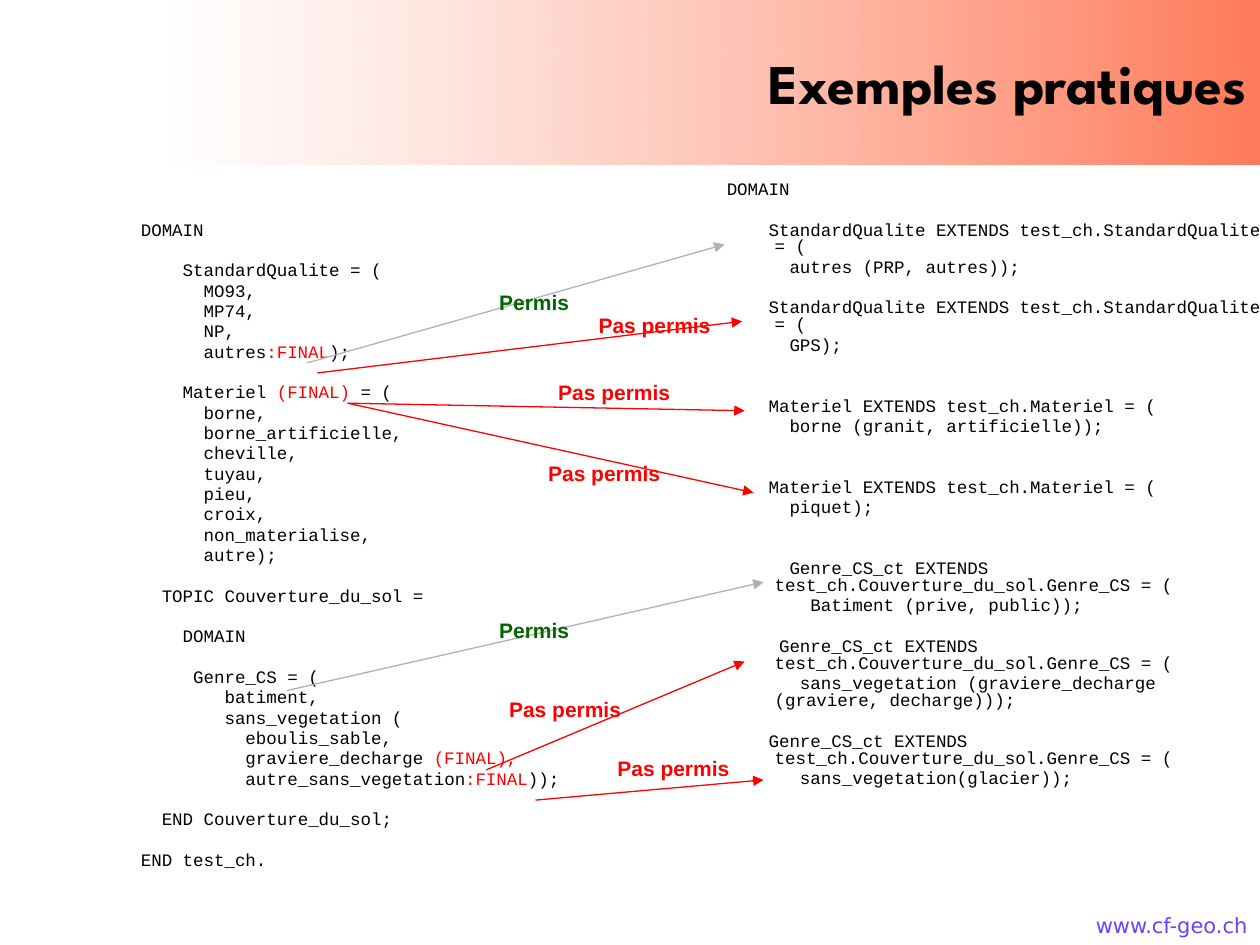
from lxml.etree import SubElement
from pptx import Presentation
from pptx.dml.color import RGBColor
from pptx.enum.shapes import MSO_CONNECTOR as Connector, MSO_SHAPE as Shape
from pptx.enum.text import MSO_ANCHOR as Anchor, MSO_AUTO_SIZE as AutoSize, PP_ALIGN as Align
from pptx.oxml.ns import qn
from pptx.util import Inches, Pt

COLORS = {
    "black": "000000", "white": "FFFFFF", "orange": "FF3300", "red": "FF0000",
    "green": "006600", "gray": "B2B2B2", "violet": "6A42FE",
}
TITLE = "Exemples pratiques"
WEBSITE = "www.cf-geo.ch"

# Each block: blank lines above it, then its lines; text between bars is red.
BASE_MODEL = [
    (5, ["DOMAIN"]),
    (1, ["    StandardQualite = (",
         "      MO93,",
         "      MP74,",
         "      NP,",
         "      autres|:FINAL|);"]),
    (1, ["    Materiel |(FINAL) |= (",
         "      borne,",
         "      borne_artificielle,",
         "      cheville,",
         "      tuyau,",
         "      pieu,",
         "      croix,",
         "      non_materialise,",
         "      autre);"]),
    (1, ["  TOPIC Couverture_du_sol ="]),
    (1, ["    DOMAIN"]),
    (1, ["     Genre_CS = (",
         "        batiment,",
         "        sans_vegetation (",
         "          eboulis_sable,",
         "          graviere_decharge |(FINAL),",
         "          autre_sans_vegetation|:FINAL|));"]),
    (1, ["  END Couverture_du_sol;"]),
    (1, ["END test_ch."]),
]
EXTENDED_MODEL = [
    (3, ["DOMAIN"]),
    (1, ["    StandardQualite EXTENDS test_ch.StandardQualite = (",
         "      autres (PRP, autres));"]),
    (1, ["    StandardQualite EXTENDS test_ch.StandardQualite = (",
         "      GPS);"]),
    (2, ["    Materiel EXTENDS test_ch.Materiel = (",
         "      borne (granit, artificielle));"]),
    (2, ["    Materiel EXTENDS test_ch.Materiel = (",
         "      piquet);"]),
    (2, ["      Genre_CS_ct EXTENDS test_ch.Couverture_du_sol.Genre_CS = (",
         "        Batiment (prive, public));"]),
    (1, ["     Genre_CS_ct EXTENDS test_ch.Couverture_du_sol.Genre_CS = (",
         "       sans_vegetation (graviere_decharge (graviere, decharge)));"]),
    (1, ["    Genre_CS_ct EXTENDS test_ch.Couverture_du_sol.Genre_CS = (",
         "       sans_vegetation(glacier));"]),
]
LISTINGS = [
    (BASE_MODEL, (1.02, 0.91, 4.44, 5.51)),
    (EXTENDED_MODEL, (5.67, 0.91, 4.44, 4.36)),
]
VERDICTS = {
    True: ("Permis", "green", "gray", 0.76),
    False: ("Pas permis", "red", "red", 1.09),
}
EXTENSIONS = [
    (True, (2.44, 2.88), (5.75, 1.94), (3.86, 2.25)),
    (False, (2.52, 2.96), (5.89, 2.55), (4.65, 2.43)),
    (False, (2.76, 3.2), (5.91, 3.26), (4.33, 2.96)),
    (False, (2.76, 3.2), (5.98, 3.91), (4.25, 3.61)),
    (True, (2.28, 5.48), (6.06, 4.62), (3.86, 4.85)),
    (False, (3.86, 6.11), (5.91, 5.25), (3.94, 5.48)),
    (False, (4.25, 6.35), (6.06, 6.19), (4.8, 5.95)),
]
LINE_PITCH = 11.63
LINE_GAP = 2


def color(name):
    return RGBColor.from_string(COLORS[name])


def style(font, name, size, color_name, bold=False):
    font.name, font.size, font.bold = name, Pt(size), bold
    font.color.rgb = color(color_name)


def add_text(slide, box, text, align, font, wrap=True):
    shape = slide.shapes.add_textbox(*map(Inches, box))
    frame = shape.text_frame
    frame.word_wrap = wrap
    if not wrap:
        frame.auto_size = AutoSize.SHAPE_TO_FIT_TEXT
    paragraph = frame.paragraphs[0]
    paragraph.text, paragraph.alignment = text, align
    style(paragraph.font, *font)


def add_title(slide):
    shape = slide.shapes.add_shape(Shape.RECTANGLE, *map(Inches, (1.31, 0, 8.69, 1.31)))
    shape.shadow.inherit = False
    shape.line.fill.background()
    shape.fill.gradient()
    shape.fill.gradient_angle = 0
    fades = [(0, "white", 46), (1, "orange", 65)]
    for stop, (position, name, opacity) in zip(shape.fill.gradient_stops, fades):
        stop.position, stop.color.rgb = position, color(name)
    tags = shape.fill._xPr.iter(qn("a:srgbClr"))
    for tag, (_, _, opacity) in zip(tags, fades):
        SubElement(tag, qn("a:alpha"), val=str(opacity * 1000))
    frame = shape.text_frame
    frame.vertical_anchor = Anchor.MIDDLE
    paragraph = frame.paragraphs[0]
    paragraph.text, paragraph.alignment = TITLE, Align.RIGHT
    style(paragraph.font, "League Spartan", 32, "black", True)


def add_listing(slide, blocks, box):
    frame = slide.shapes.add_textbox(*map(Inches, box)).text_frame
    frame.word_wrap = True
    frame.margin_top = Inches(0.05) + Pt(blocks[0][0] * LINE_PITCH)
    lines = [(blanks if index == 0 else 0, line)
             for blanks, block in blocks for index, line in enumerate(block)]
    for number, (blanks, line) in enumerate(lines):
        paragraph = frame.add_paragraph() if number else frame.paragraphs[0]
        properties = paragraph._p.get_or_add_pPr()
        properties.set("marL", str(Inches(0.38)))
        properties.set("indent", str(Inches(-0.38)))
        paragraph.line_spacing = 0.8
        paragraph.space_before = Pt(LINE_GAP + blanks * LINE_PITCH if number else 0)
        style(paragraph.font, "Courier New", 10, "black")
        for part, text in enumerate(line.split("|")):
            if text:
                run = paragraph.add_run()
                run.text = text
                if part % 2:
                    run.font.color.rgb = color("red")


def add_arrow(slide, start, end, color_name):
    arrow = slide.shapes.add_connector(Connector.STRAIGHT, *map(Inches, start + end))
    arrow.line.color.rgb = color(color_name)
    arrow.line.width = Pt(0.75)
    SubElement(arrow.line._get_or_add_ln(), qn("a:tailEnd"), type="triangle")
    SubElement(arrow._element.spPr, qn("a:effectLst"))


def main():
    presentation = Presentation()
    presentation.slide_width, presentation.slide_height = Inches(10), Inches(7.5)
    slide = presentation.slides.add_slide(presentation.slide_layouts[6])
    add_text(slide, (8.31, 7.19, 1.69, 0.5), WEBSITE, Align.RIGHT, ("DejaVu Sans", 12, "violet"))
    add_title(slide)
    for blocks, box in LISTINGS:
        add_listing(slide, blocks, box)
    for allowed, start, end, place in EXTENSIONS:
        label, label_color, arrow_color, width = VERDICTS[allowed]
        add_arrow(slide, start, end, arrow_color)
        add_text(slide, place + (width, 0.3), label, Align.CENTER,
                 ("Arial", 12, label_color, True), wrap=False)
    presentation.save("out.pptx")


if __name__ == "__main__":
    main()
